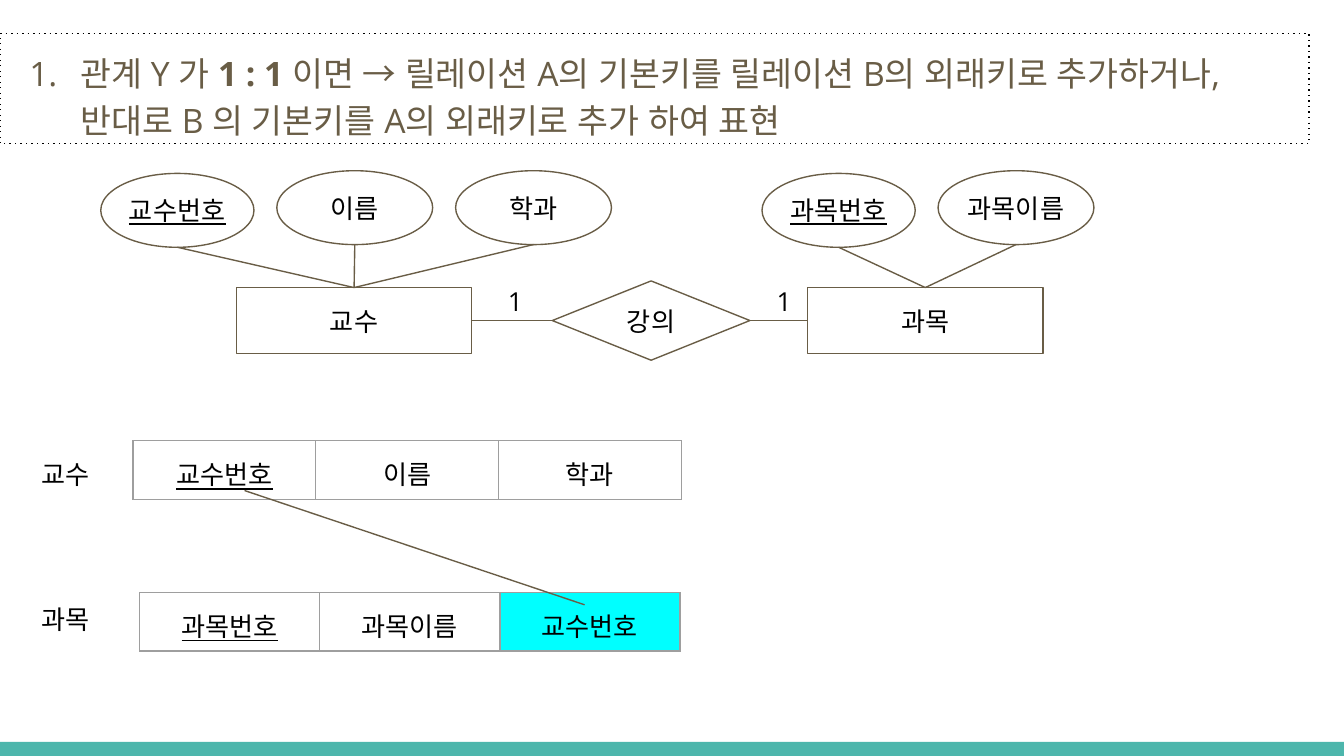
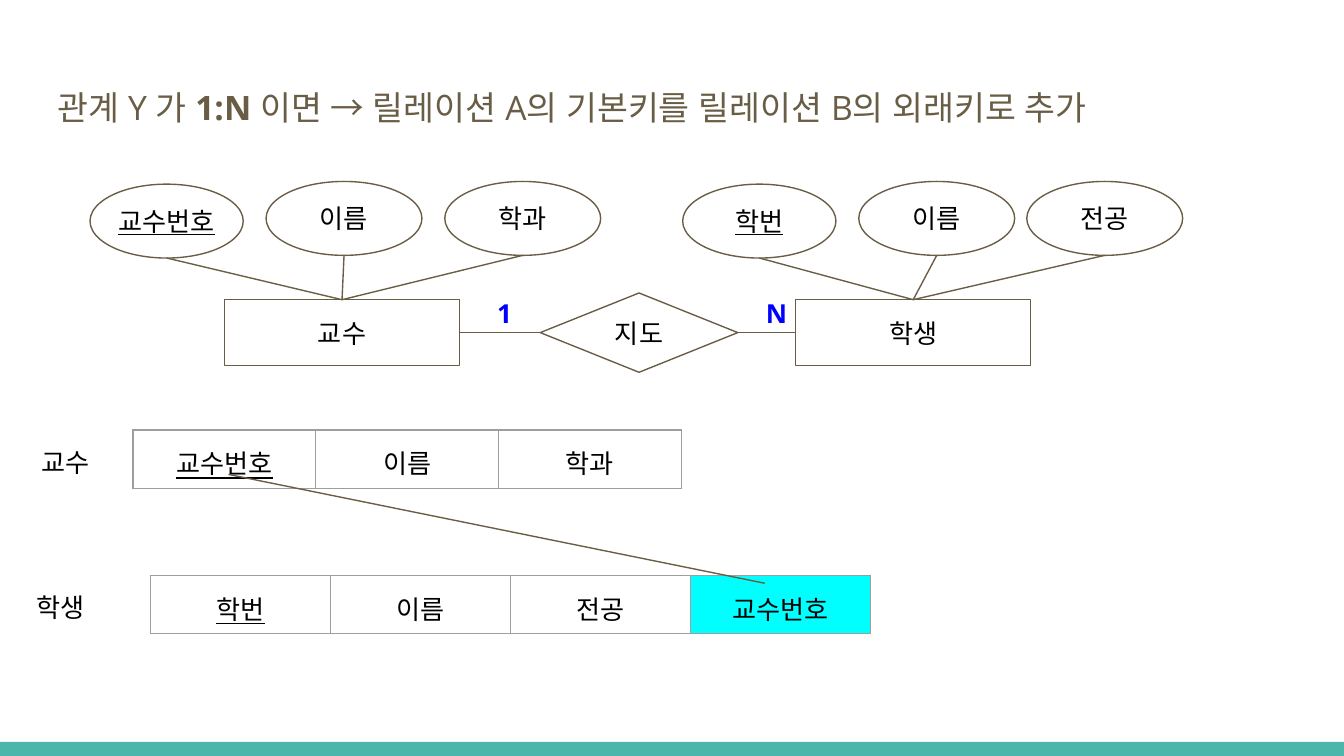
from dataclasses import dataclass
from typing import Any, Optional

import lxml.etree
import pptx
import pptx.dml.color
import pptx.enum.shapes
import pptx.enum.text
import pptx.oxml.ns
import pptx.util

Inches = pptx.util.Inches
Pt = pptx.util.Pt
Shape = pptx.enum.shapes.MSO_SHAPE
qn = pptx.oxml.ns.qn

# Shared look
BROWN, BLACK, WHITE = "695D46", "000000", "FFFFFF"
TEAL, CYAN, BLUE, GREY = "4DB6AC", "00FFFF", "0000FF", "9E9E9E"
BODY_FONT, DIAGRAM_FONT = "Open Sans", "Arial"
LINE_WIDTH = Pt(0.75)
PADDING = Inches(0.1)

# Shared sizes of the diagram parts, in inches
ENTITY_WIDTH, ENTITY_HEIGHT = 1.75, 0.49
RELATION_WIDTH, RELATION_HEIGHT = 1.47, 0.59
ATTRIBUTE_HEIGHT = 0.55
ROW_HEIGHT = 0.43


@dataclass
class Attribute:
    name: str
    left: float
    is_key: bool = False


@dataclass
class Entity:
    name: str
    left: float
    attributes: list[Attribute]


@dataclass
class Cardinality:
    text: str
    left: float


@dataclass
class Diagram:
    attribute_top: float
    top: float
    professor: Entity
    relation: str
    relation_left: float
    partner: Entity
    cardinalities: list[Cardinality]
    cardinality_color: str = BLACK
    cardinality_bold: bool = False


@dataclass
class Relation:
    """A named row of columns; the first column is the primary key."""
    name: str
    name_left: float
    name_top: float
    left: float
    top: float
    column_width: float
    columns: list[str]
    foreign_key: Optional[str] = None


@dataclass
class Rule:
    """Heading text split around its bold part."""
    before: str
    ratio: str
    after: str
    box: tuple[float, float, float, float]
    numbered: bool = False


@dataclass
class Page:
    rule: Rule
    diagram: Diagram
    relations: list[Relation]
    key_link: tuple[float, float, float, float]


def rgb(color: str) -> pptx.dml.color.RGBColor:
    return pptx.dml.color.RGBColor.from_string(color)


def add_run(paragraph: Any, text: str, size: float, font: str, color: str,
            bold: bool = False, underline: bool = False,
            east_asian: bool = True) -> None:
    run = paragraph.add_run()
    run.text = text
    run.font.size = Pt(size)
    run.font.name = font
    run.font.bold = bold
    run.font.underline = underline
    run.font.color.rgb = rgb(color)
    # Korean text without pair kerning
    properties = run.font._element
    properties.set("lang", "ko")
    properties.set("kern", "0")
    if east_asian:
        lxml.etree.SubElement(properties, qn("a:ea")).set("typeface", font)


def set_padding(holder: Any, padding: int) -> None:
    holder.margin_left = holder.margin_right = padding
    holder.margin_top = holder.margin_bottom = padding


def add_text_box(slide: Any, box: tuple[float, float, float, float]) -> Any:
    text_box = slide.shapes.add_textbox(*map(Inches, box))
    text_box.text_frame.word_wrap = True
    set_padding(text_box.text_frame, PADDING)
    return text_box


def add_label(slide: Any, text: str, box: tuple[float, float, float, float],
              color: str = BLACK, bold: bool = False) -> None:
    label = add_text_box(slide, box)
    add_run(label.text_frame.paragraphs[0], text, 14, BODY_FONT, color, bold)


def add_node(slide: Any, kind: Any, text: str,
             box: tuple[float, float, float, float], underline: bool = False) -> Any:
    node = slide.shapes.add_shape(kind, *map(Inches, box))
    node.shadow.inherit = False
    node.fill.solid()
    node.fill.fore_color.rgb = rgb(WHITE)
    node.line.color.rgb = rgb(BROWN)
    node.line.width = LINE_WIDTH
    frame = node.text_frame
    frame.word_wrap = True
    frame.vertical_anchor = pptx.enum.text.MSO_ANCHOR.MIDDLE
    set_padding(frame, 0)
    frame.paragraphs[0].alignment = pptx.enum.text.PP_ALIGN.CENTER
    add_run(frame.paragraphs[0], text, 14, DIAGRAM_FONT, BLACK, underline=underline)
    return node


def add_line(slide: Any, x1: int = 0, y1: int = 0, x2: int = 0, y2: int = 0) -> Any:
    line = slide.shapes.add_connector(
        pptx.enum.shapes.MSO_CONNECTOR.STRAIGHT, x1, y1, x2, y2)
    line.line.color.rgb = rgb(BROWN)
    line.line.width = LINE_WIDTH
    lxml.etree.SubElement(line._element.spPr, qn("a:effectLst"))
    return line


def add_footer_band(slide: Any) -> None:
    band = slide.shapes.add_shape(
        Shape.RECTANGLE, Inches(0), Inches(5.52), Inches(10), Inches(0.11))
    band.shadow.inherit = False
    band.fill.solid()
    band.fill.fore_color.rgb = rgb(TEAL)
    band.line.fill.background()


def add_rule(slide: Any, rule: Rule) -> None:
    heading = add_text_box(slide, rule.box)
    paragraph = heading.text_frame.paragraphs[0]
    if rule.numbered:
        # Dotted frame and automatic number
        heading.line.color.rgb = rgb(BLACK)
        heading.line.width = LINE_WIDTH
        outline = heading._element.spPr.find(qn("a:ln"))
        lxml.etree.SubElement(outline, qn("a:prstDash")).set("val", "dot")
        properties = paragraph._p.get_or_add_pPr()
        properties.set("marL", str(Inches(0.5)))
        properties.set("indent", str(Inches(-0.38)))
        number_color = lxml.etree.SubElement(properties, qn("a:buClr"))
        lxml.etree.SubElement(number_color, qn("a:srgbClr")).set("val", BROWN)
        number = lxml.etree.SubElement(properties, qn("a:buAutoNum"))
        number.set("type", "arabicPeriod")
    else:
        paragraph.space_after = Pt(16)
    paragraph.line_spacing = 1.15
    add_run(paragraph, rule.before, 18, BODY_FONT, BROWN)
    add_run(paragraph, rule.ratio, 18, BODY_FONT, BROWN, bold=True)
    add_run(paragraph, rule.after, 18, BODY_FONT, BROWN)


def add_entity(slide: Any, entity: Entity, top: float, attribute_top: float) -> Any:
    box = add_node(slide, Shape.RECTANGLE, entity.name,
                   (entity.left, top, ENTITY_WIDTH, ENTITY_HEIGHT))
    for attribute in entity.attributes:
        drop, width = (0.02, 1.14) if attribute.is_key else (0, 1.16)
        oval = add_node(slide, Shape.OVAL, attribute.name,
                        (attribute.left, attribute_top + drop, width, ATTRIBUTE_HEIGHT),
                        underline=attribute.is_key)
        stem = add_line(slide, oval.left + oval.width // 2, oval.top + oval.height)
        stem.end_connect(box, 0)
    return box


def add_diagram(slide: Any, diagram: Diagram) -> None:
    professor, partner = (
        add_entity(slide, entity, diagram.top, diagram.attribute_top)
        for entity in (diagram.professor, diagram.partner))
    relation = add_node(slide, Shape.DIAMOND, diagram.relation,
                        (diagram.relation_left, diagram.top - 0.05,
                         RELATION_WIDTH, RELATION_HEIGHT))
    for start, end in ((professor, relation), (relation, partner)):
        link = add_line(slide)
        link.begin_connect(start, 3)
        link.end_connect(end, 1)
    for cardinality in diagram.cardinalities:
        add_label(slide, cardinality.text,
                  (cardinality.left, diagram.top - 0.12, 0.32, 0.32),
                  diagram.cardinality_color, diagram.cardinality_bold)


def add_cell_borders(cell: Any) -> None:
    properties = cell._tc.get_or_add_tcPr()
    for side in ("a:lnL", "a:lnR", "a:lnT", "a:lnB"):
        border = lxml.etree.SubElement(properties, qn(side), w=str(LINE_WIDTH))
        fill = lxml.etree.SubElement(border, qn("a:solidFill"))
        lxml.etree.SubElement(fill, qn("a:srgbClr")).set("val", GREY)


def add_relation(slide: Any, relation: Relation) -> None:
    names = relation.columns + ([relation.foreign_key] if relation.foreign_key else [])
    table = slide.shapes.add_table(
        1, len(names), Inches(relation.left), Inches(relation.top),
        Inches(relation.column_width * len(names)), Inches(ROW_HEIGHT)).table
    table.first_row = table.horz_banding = False
    for index, name in enumerate(names):
        table.columns[index].width = Inches(relation.column_width)
        cell = table.cell(0, index)
        set_padding(cell, PADDING)
        add_cell_borders(cell)
        if name == relation.foreign_key:
            cell.fill.solid()
            cell.fill.fore_color.rgb = rgb(CYAN)
        else:
            cell.fill.background()
        paragraph = cell.text_frame.paragraphs[0]
        paragraph.alignment = pptx.enum.text.PP_ALIGN.CENTER
        add_run(paragraph, name, 14, DIAGRAM_FONT, BLACK,
                underline=index == 0, east_asian=False)
    add_label(slide, relation.name, (relation.name_left, relation.name_top, 0.73, 0.39))


PAGES = [
    Page(
        Rule("관계 Y 가 ", "1 : 1",
             " 이면 → 릴레이션 A의 기본키를 릴레이션 B의 외래키로 추가하거나, "
             "반대로 B 의 기본키를 A의 외래키로 추가 하여 표현",
             (0, 0.25, 9.74, 0.82), numbered=True),
        Diagram(
            1.27, 2.14,
            Entity("교수", 1.76, [Attribute("교수번호", 0.75, True),
                                Attribute("이름", 2.06), Attribute("학과", 3.39)]),
            "강의", 4.11,
            Entity("과목", 6.01, [Attribute("과목번호", 5.67, True),
                                Attribute("과목이름", 6.98)]),
            [Cardinality("1", 3.68), Cardinality("1", 5.68)]),
        [Relation("교수", 0.21, 3.31, 0.99, 3.28, 1.36, ["교수번호", "이름", "학과"]),
         Relation("과목", 0.21, 4.39, 1.04, 4.41, 1.34, ["과목번호", "과목이름"], "교수번호")],
        (4.35, 4.5, 1.82, 3.65)),
    Page(
        Rule("관계 Y 가 ", "1:N",
             " 이면 → 릴레이션 A의 기본키를 릴레이션 B의 외래키로 추가",
             (0.33, 0.5, 9.39, 0.67)),
        Diagram(
            1.35, 2.23,
            Entity("교수", 1.67, [Attribute("교수번호", 0.67, True),
                                Attribute("이름", 1.98), Attribute("학과", 3.31)]),
            "지도", 4.02,
            Entity("학생", 5.92, [Attribute("학번", 5.08, True),
                                Attribute("이름", 6.39), Attribute("전공", 7.64)]),
            [Cardinality("1", 3.6), Cardinality("N", 5.6)], BLUE, True),
        [Relation("교수", 0.21, 3.22, 0.99, 3.2, 1.36, ["교수번호", "이름", "학과"]),
         Relation("학생", 0.17, 4.3, 1.12, 4.28, 1.34, ["학번", "이름", "전공"], "교수번호")],
        (1.7, 3.53, 5.69, 4.34)),
]


def main() -> None:
    deck = pptx.Presentation()
    deck.slide_width = Inches(10)
    deck.slide_height = deck.slide_width * 9 // 16
    for page in PAGES:
        slide = deck.slides.add_slide(deck.slide_layouts[6])
        add_footer_band(slide)
        add_rule(slide, page.rule)
        add_diagram(slide, page.diagram)
        for relation in page.relations:
            add_relation(slide, relation)
        # Primary key to foreign key
        add_line(slide, *map(Inches, page.key_link))
    deck.save("out.pptx")


if __name__ == "__main__":
    main()
